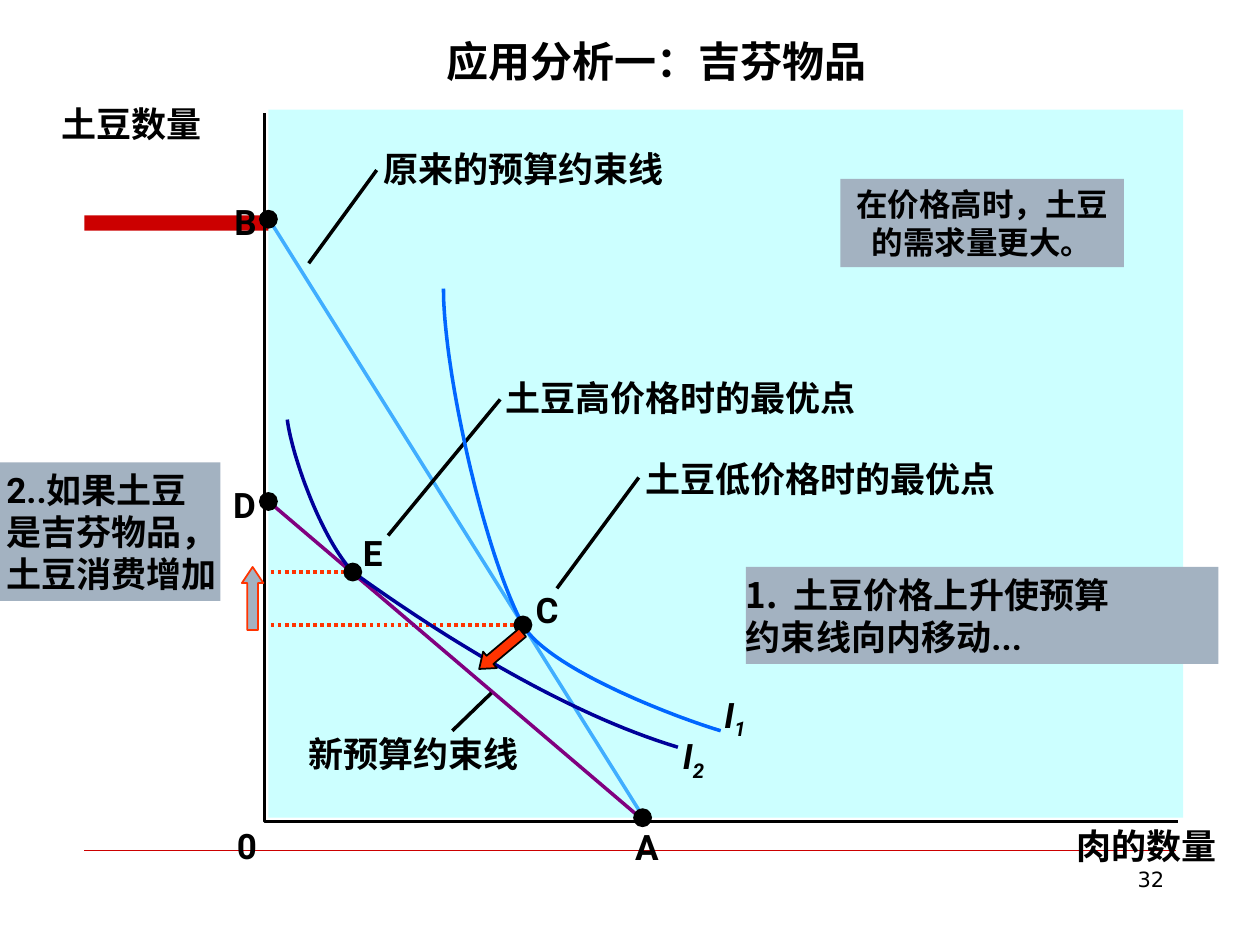
from dataclasses import dataclass
from typing import NamedTuple

from lxml.etree import SubElement
from pptx import Presentation
from pptx.dml.color import RGBColor
from pptx.enum.dml import MSO_LINE
from pptx.enum.shapes import MSO_CONNECTOR, MSO_SHAPE as Preset
from pptx.enum.text import MSO_ANCHOR, MSO_AUTO_SIZE, PP_ALIGN as Align
from pptx.oxml.ns import qn
from pptx.util import Inches, Pt


@dataclass(frozen=True)
class Theme:
    ink: str = "000000"
    accent: str = "CC0000"
    panel: str = "CCFFFF"
    note: str = "A3B2C1"
    shift: str = "FF3300"
    old_budget: str = "40AEFF"
    new_budget: str = "800080"
    first_curve: str = "0066FF"
    second_curve: str = "000099"
    label_font: str = "Roboto"
    body_font: str = "DejaVu Sans"
    title_size: float = 24
    label_size: float = 20
    remark_size: float = 18
    number_size: float = 12
    stroke: float = 2


THEME = Theme()


class Point(NamedTuple):
    x: float
    y: float


class Area(NamedTuple):
    left: float
    top: float
    width: float
    height: float


class Label(NamedTuple):
    text: str
    area: Area


class Segment(NamedTuple):
    start: Point
    end: Point
    color: str = THEME.ink
    dotted: bool = False
    width: float = THEME.stroke


class Bezier(NamedTuple):
    start: Point
    pull_out: Point
    pull_in: Point
    end: Point
    color: str


A, B, C = Point(5.1, 6.49), Point(2.13, 1.74), Point(4.15, 4.96)
D, E = Point(2.13, 3.98), Point(2.8, 4.54)
BUDGET_END = Point(5.14, 6.54)

SEGMENTS = [
    Segment(Point(2.15, E.y), Point(2.78, E.y), THEME.shift, True),
    Segment(Point(2.15, C.y), C, THEME.shift, True),
    Segment(Point(2.11, 1.7), BUDGET_END, THEME.old_budget),
    Segment(Point(2.12, 3.97), BUDGET_END, THEME.new_budget),
    Segment(Point(2.45, 2.09), Point(2.99, 1.35)),
    Segment(Point(3.59, 5.8), Point(3.9, 5.5)),
    Segment(Point(4.42, 4.67), Point(5.07, 3.79)),
    Segment(Point(3.08, 4.25), Point(3.97, 3.17)),
]
CURVES = [
    Bezier(Point(3.52, 2.29), Point(3.52, 2.94), Point(3.84, 4.38), C, THEME.first_curve),
    Bezier(C, Point(4.35, 5.31), Point(5.38, 5.7), Point(5.72, 5.8), THEME.first_curve),
    Bezier(Point(2.28, 3.33), Point(2.32, 3.63), Point(2.55, 4.27), E, THEME.second_curve),
    Bezier(E, Point(3.04, 4.71), Point(4.25, 5.59), Point(5.38, 5.93), THEME.second_curve),
]
LABELS = [
    Label("肉的数量", Area(8.54, 6.54, 1.16, 0.33)),
    Label("土豆数量", Area(0.49, 0.81, 1.16, 0.33)),
    Label("0", Area(1.88, 6.54, 0.16, 0.33)),
    Label("A", Area(5.04, 6.55, 0.19, 0.33)),
    Label("B", Area(1.86, 1.59, 0.19, 0.33)),
    Label("C", Area(4.25, 4.67, 0.18, 0.33)),
    Label("D", Area(1.85, 3.84, 0.21, 0.33)),
    Label("E", Area(2.88, 4.22, 0.16, 0.33)),
    Label("原来的预算约束线", Area(3.04, 1.17, 2.28, 0.33)),
    Label("新预算约束线", Area(2.45, 5.81, 1.72, 0.33)),
    Label("土豆低价格时的最优点", Area(5.12, 3.63, 2.83, 0.33)),
    Label("土豆高价格时的最优点", Area(4.01, 2.99, 2.83, 0.33)),
]
CURVE_NAMES = [
    Label("2", Area(5.42, 5.83, 0.33, 0.38)),
    Label("1", Area(5.75, 5.5, 0.5, 0.38)),
]


def rgb(color: str) -> RGBColor:
    return RGBColor.from_string(color)


def add_segment(page, segment: Segment) -> None:
    ends = [Inches(v) for v in (*segment.start, *segment.end)]
    line = page.shapes.add_connector(MSO_CONNECTOR.STRAIGHT, *ends)
    line.line.color.rgb = rgb(segment.color)
    line.line.width = Pt(segment.width)
    if segment.dotted:
        line.line.dash_style = MSO_LINE.ROUND_DOT
    SubElement(line._element.spPr, qn("a:effectLst"))


def add_outline(page, points: list[Point], color: str) -> None:
    """Draw an open line through the points."""
    places = [(Inches(p.x), Inches(p.y)) for p in points]
    builder = page.shapes.build_freeform(*places[0])
    builder.add_line_segments(places[1:], close=False)
    outline = builder.convert_to_shape()
    outline.shadow.inherit = False
    outline.fill.background()
    outline.line.color.rgb = rgb(color)
    outline.line.width = Pt(THEME.stroke)


def add_curve(page, curve: Bezier, steps: int = 40) -> None:
    points = []
    for step in range(steps + 1):
        t = step / steps
        weights = ((1 - t) ** 3, 3 * t * (1 - t) ** 2, 3 * t * t * (1 - t), t ** 3)
        points.append(Point(*(sum(w * v for w, v in zip(weights, axis))
                              for axis in zip(*curve[:4]))))
    add_outline(page, points, curve.color)


def add_block(page, preset: Preset, area: Area, fill: str, line: str | None = None):
    block = page.shapes.add_shape(preset, *map(Inches, area))
    block.shadow.inherit = False
    block.fill.solid()
    block.fill.fore_color.rgb = rgb(fill)
    if line:
        block.line.color.rgb = rgb(line)
        block.line.width = Pt(1)
    else:
        block.line.fill.background()
    return block


def add_text_box(page, area: Area):
    return page.shapes.add_textbox(*map(Inches, area))


def set_frame(box, insets=(0.1, 0.05, 0.1, 0.05), wrap: bool = True):
    frame = box.text_frame
    frame.word_wrap = wrap
    frame.auto_size = MSO_AUTO_SIZE.NONE if wrap else MSO_AUTO_SIZE.SHAPE_TO_FIT_TEXT
    frame.vertical_anchor = MSO_ANCHOR.TOP
    (frame.margin_left, frame.margin_top,
     frame.margin_right, frame.margin_bottom) = map(Inches, insets)
    return frame


def add_span(para, text: str, size: float = THEME.label_size, font: str = THEME.label_font,
             bold: bool = True, italic: bool = False, align: Align = Align.LEFT):
    para.alignment = align
    span = para.add_run()
    span.text = text
    span.font.size, span.font.name = Pt(size), font
    span.font.bold, span.font.italic = bold, italic
    span.font.color.rgb = rgb(THEME.ink)
    return span


def add_shift_note(page) -> None:
    note = add_block(page, Preset.RECTANGLE, Area(5.92, 4.5, 3.75, 0.77), THEME.note)
    frame = set_frame(note, (0, 0.05, 0, 0.05))
    for para, text in ((frame.paragraphs[0], "土豆价格上升使预算"),
                       (frame.add_paragraph(), "约束线向内移动...")):
        properties = para._p.get_or_add_pPr()
        properties.set("marL", str(Inches(0.38)))
        properties.set("indent", str(-Inches(0.38)))
        if para._p is frame.paragraphs[0]._p:
            SubElement(properties, qn("a:buFont"), typeface=THEME.label_font)
            SubElement(properties, qn("a:buAutoNum"), type="arabicPeriod")
        else:
            SubElement(properties, qn("a:buNone"))
        add_span(para, text)


def main() -> None:
    deck = Presentation()
    deck.slide_width, deck.slide_height = Inches(10), Inches(7.5)
    page = deck.slides.add_slide(deck.slide_layouts[6])

    add_block(page, Preset.RECTANGLE, Area(0.67, 1.71, 5.09, 0.12), THEME.accent)
    add_segment(page, Segment(Point(0.67, 6.75), Point(9.33, 6.75), THEME.accent, width=0.25))
    add_block(page, Preset.RECTANGLE, Area(2.13, 0.87, 7.26, 5.62), THEME.panel)
    add_outline(page, [Point(2.1, 0.9), Point(2.1, 6.52), Point(9.35, 6.52)], THEME.ink)

    for segment in SEGMENTS:
        add_segment(page, segment)
    for curve in CURVES:
        add_curve(page, curve)
    dot = 0.15
    for point in (A, B, C, D, E):
        add_block(page, Preset.OVAL, Area(point.x - dot / 2, point.y - dot / 2, dot, dot), THEME.ink)

    for label in LABELS:
        frame = set_frame(add_text_box(page, label.area), (0, 0, 0, 0), wrap=False)
        add_span(frame.paragraphs[0], label.text)
    for name in CURVE_NAMES:
        para = set_frame(add_text_box(page, name.area), (0, 0, 0, 0)).paragraphs[0]
        add_span(para, "I", italic=True)
        index = add_span(para, name.text, italic=True)
        index.font._element.set("baseline", "-25000")

    add_shift_note(page)
    inward = add_block(page, Preset.DOWN_ARROW, Area(3.89, 4.94, 0.17, 0.45), THEME.shift, THEME.ink)
    inward.rotation = 50
    inward.adjustments[1] = 0.66
    giffen = add_block(page, Preset.RECTANGLE, Area(0, 3.67, 1.75, 1.1), THEME.note)
    add_span(set_frame(giffen, (0.05, 0.05, 0, 0.05)).paragraphs[0], "2..如果土豆是吉芬物品，土豆消费增加")
    upward = add_block(page, Preset.UP_ARROW, Area(1.92, 4.5, 0.17, 0.5), THEME.note, THEME.shift)
    upward.adjustments[1] = 0.75

    title = add_text_box(page, Area(2.42, 0.23, 5.58, 0.5))
    remark = add_block(page, Preset.RECTANGLE, Area(6.67, 1.42, 2.25, 0.7), THEME.note)
    number = add_text_box(page, Area(7.17, 6.83, 2.17, 0.52))
    for box, text, size, bold, align in (
        (title, "应用分析一：吉芬物品", THEME.title_size, True, Align.CENTER),
        (remark, "在价格高时，土豆的需求量更大。", THEME.remark_size, True, Align.CENTER),
        (number, "32", THEME.number_size, False, Align.RIGHT),
    ):
        add_span(set_frame(box).paragraphs[0], text, size, THEME.body_font, bold, align=align)

    deck.save("out.pptx")


if __name__ == "__main__":
    main()
